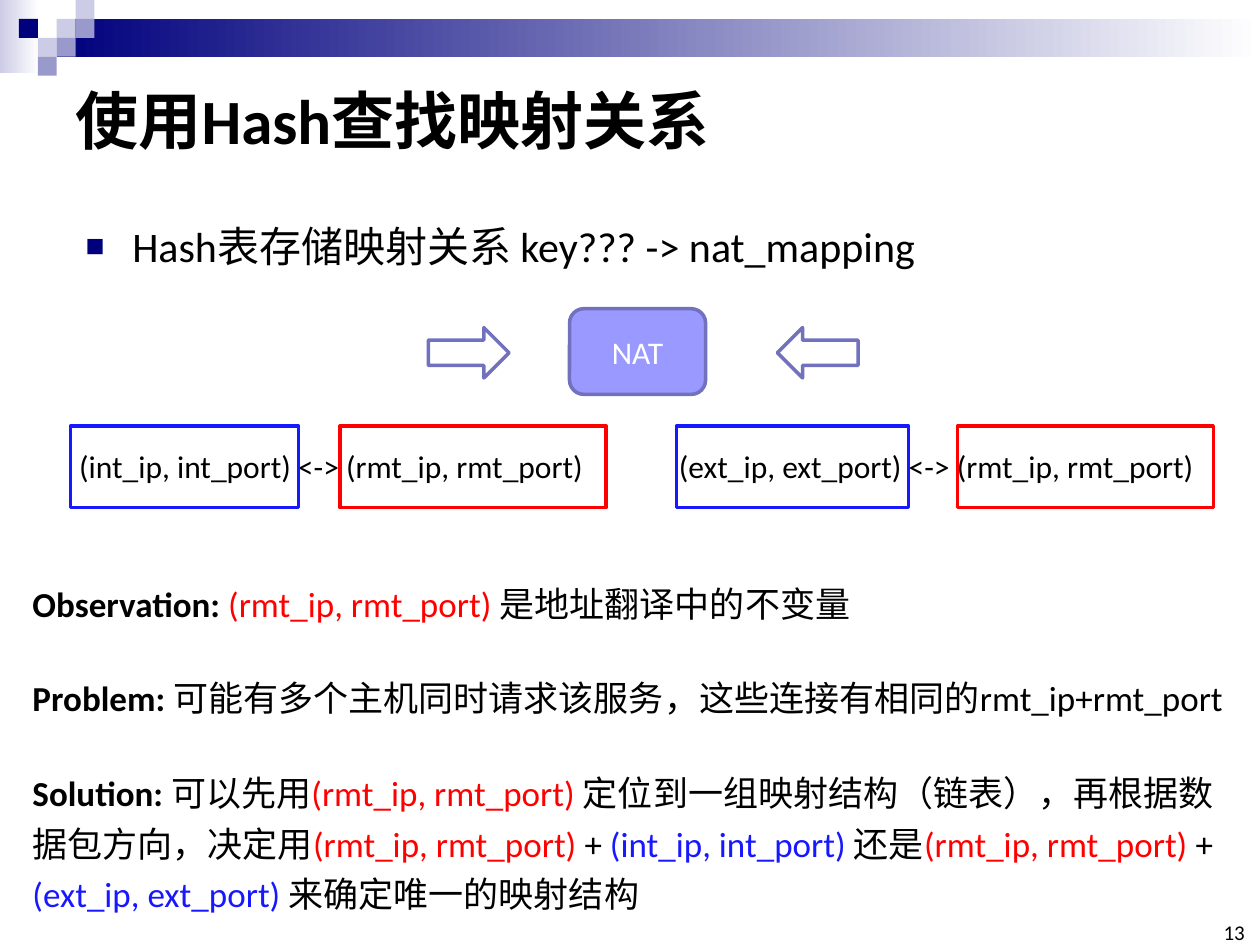
from lxml.etree import SubElement
from pptx import Presentation
from pptx.dml.color import RGBColor
from pptx.enum.shapes import MSO_SHAPE
from pptx.enum.text import MSO_ANCHOR, MSO_AUTO_SIZE, PP_ALIGN
from pptx.oxml.ns import qn
from pptx.util import Inches, Pt

THEME = {
    "font": "Calibri",
    "colors": {
        "text": "000000", "white": "FFFFFF", "remote": "FF0000", "local": "1818FF",
        "navy": "00007D", "mid": "9999CC", "pale": "CCCCE6",
        "nat": "9999FF", "outline": "7171BD",
    },
    "sizes": {"title": 36, "bullet": 24, "note": 20, "label": 18, "number": 12},
    "line": 2,
}

# Content: runs are (text, color) or (text, color, bold)
TITLE = "使用Hash查找映射关系"
BULLET = "Hash表存储映射关系 key??? -> nat_mapping"
PAGE_NUMBER = "13"
REMOTE = "(rmt_ip, rmt_port)"
INTERNAL = "(int_ip, int_port)"
EXTERNAL = "(ext_ip, ext_port)"

# Per side: local endpoint, text (left, width), local box and remote box (left, width)
MAPPINGS = [
    (INTERNAL, (0.53, 4.33), (0.56, 1.81), (2.7, 2.11)),
    (EXTERNAL, (5.29, 4.42), (5.37, 1.84), (7.6, 2.03)),
]
ARROWS = [(MSO_SHAPE.RIGHT_ARROW, 3.4), (MSO_SHAPE.LEFT_ARROW, 6.17)]

# Notes: box, line spacing, runs
NOTES = [
    ((0.16, 4.57, 6.97, 0.44), 1, [
        ("Observation: ", "text", True),
        (REMOTE + " ", "remote"),
        ("是地址翻译中的不变量", "text"),
    ]),
    ((0.16, 5.32, 9.84, 0.44), 1, [
        ("Problem: ", "text", True),
        ("可能有多个主机同时请求该服务，这些连接有相同的rmt_ip+rmt_port", "text"),
    ]),
    ((0.16, 6.01, 9.74, 1.28), 1.2, [
        ("Solution: ", "text", True),
        ("可以先用", "text"),
        (REMOTE + " ", "remote"),
        ("定位到一组映射结构（链表），再根据数据包方向，决定用", "text"),
        (REMOTE, "remote"),
        (" + ", "text"),
        (INTERNAL + " ", "local"),
        ("还是", "text"),
        (REMOTE, "remote"),
        (" + ", "text"),
        (EXTERNAL + " ", "local"),
        ("来确定唯一的映射结构", "text"),
    ]),
]

# Corner mosaic: column, row, color
TILE = 0.15
TILES = [
    (3, 1, "pale"), (4, 0, "pale"), (4, 1, "mid"), (2, 2, "pale"),
    (1, 1, "navy"), (3, 2, "mid"), (2, 3, "mid"),
]
GRADIENTS = [((0, 0, 0.31, 0.58), "pale"), ((0.45, 0.15, 9.55, 0.3), "navy")]


def color(name):
    return RGBColor.from_string(THEME["colors"][name])


def inches(box):
    return [Inches(value) for value in box]


def place(placeholder, box):
    placeholder.left, placeholder.top, placeholder.width, placeholder.height = inches(box)


def add_runs(paragraph, runs, size):
    for text, color_name, *bold in runs:
        run = paragraph.add_run()
        run.text = text
        run.font.name = THEME["font"]
        run.font.size = Pt(THEME["sizes"][size])
        run.font.bold = bool(bold)
        run.font.color.rgb = color(color_name)


def add_block(slide, kind, box, fill=None, line=None):
    """Add a flat preset shape; without a fill or line name that part is empty."""
    block = slide.shapes.add_shape(kind, *inches(box))
    block.shadow.inherit = False
    if fill:
        block.fill.solid()
        block.fill.fore_color.rgb = color(fill)
    else:
        block.fill.background()
    if line:
        block.line.color.rgb = color(line)
        block.line.width = Pt(THEME["line"])
    else:
        block.line.fill.background()
    return block


def add_text(slide, box, runs, size, wrap=True):
    frame = slide.shapes.add_textbox(*inches(box)).text_frame
    frame.word_wrap = wrap
    add_runs(frame.paragraphs[0], runs, size)
    return frame


def add_bullet(paragraph):
    properties = paragraph._p.get_or_add_pPr()
    properties.set("marL", str(Inches(0.37)))
    properties.set("indent", str(-Inches(0.37)))
    bullet_color = SubElement(properties, qn("a:buClr"))
    SubElement(bullet_color, qn("a:srgbClr"), val=THEME["colors"]["navy"])
    SubElement(properties, qn("a:buSzPct"), val="75000")
    SubElement(properties, qn("a:buChar"), char="■")


def draw_banner(slide):
    for box, start in GRADIENTS:
        band = add_block(slide, MSO_SHAPE.RECTANGLE, box)
        band.fill.gradient()
        band.fill.gradient_angle = 0
        for stop, position, name in zip(band.fill.gradient_stops, (0, 1), (start, "white")):
            stop.position = position
            stop.color.rgb = color(name)
    for column, row, name in TILES:
        add_block(slide, MSO_SHAPE.RECTANGLE, (column * TILE, row * TILE, TILE, TILE), name)


def fill_placeholders(slide):
    title, body = slide.shapes.title, slide.placeholders[1]
    place(title, (0.5, 0.5, 9, 0.89))
    place(body, (0.58, 1.5, 8.62, 1.2))
    for placeholder in (title, body):
        placeholder.text_frame.auto_size = MSO_AUTO_SIZE.NONE
    title.text_frame.vertical_anchor = MSO_ANCHOR.MIDDLE
    heading = title.text_frame.paragraphs[0]
    heading.alignment = PP_ALIGN.LEFT
    add_runs(heading, [(TITLE, "text", True)], "title")
    point = body.text_frame.paragraphs[0]
    point.line_spacing = 1.5
    point.space_before = Pt(0)
    add_bullet(point)
    add_runs(point, [(BULLET, "text")], "bullet")


def draw_translation(slide):
    nat = add_block(slide, MSO_SHAPE.ROUNDED_RECTANGLE, (4.52, 2.45, 1.08, 0.68), "nat", "outline")
    nat.text_frame.vertical_anchor = MSO_ANCHOR.MIDDLE
    nat_label = nat.text_frame.paragraphs[0]
    nat_label.alignment = PP_ALIGN.CENTER
    add_runs(nat_label, [("NAT", "white")], "label")
    for kind, left in ARROWS:
        add_block(slide, kind, (left, 2.6, 0.64, 0.4), line="outline")
    for endpoint, (left, width), *frames in MAPPINGS:
        mapping = [(f"{endpoint} <-> {REMOTE}", "text")]
        add_text(slide, (left, 3.5, width, 0.4), mapping, "label", wrap=False)
        for (frame_left, frame_width), name in zip(frames, ("local", "remote")):
            add_block(slide, MSO_SHAPE.RECTANGLE, (frame_left, 3.38, frame_width, 0.65), line=name)


def write_notes(slide):
    for box, spacing, runs in NOTES:
        add_text(slide, box, runs, "note").paragraphs[0].line_spacing = spacing


def add_page_number(slide):
    number = add_text(slide, (9.65, 7.33, 0.23, 0.17), [(PAGE_NUMBER, "text")], "number")
    number.margin_left = number.margin_right = number.margin_top = number.margin_bottom = 0
    number.vertical_anchor = MSO_ANCHOR.BOTTOM
    number.paragraphs[0].alignment = PP_ALIGN.RIGHT


def main():
    deck = Presentation()
    deck.slide_width, deck.slide_height = Inches(10), Inches(7.5)
    slide = deck.slides.add_slide(deck.slide_layouts[1])
    draw_banner(slide)
    fill_placeholders(slide)
    draw_translation(slide)
    write_notes(slide)
    add_page_number(slide)
    deck.save("out.pptx")


if __name__ == "__main__":
    main()
